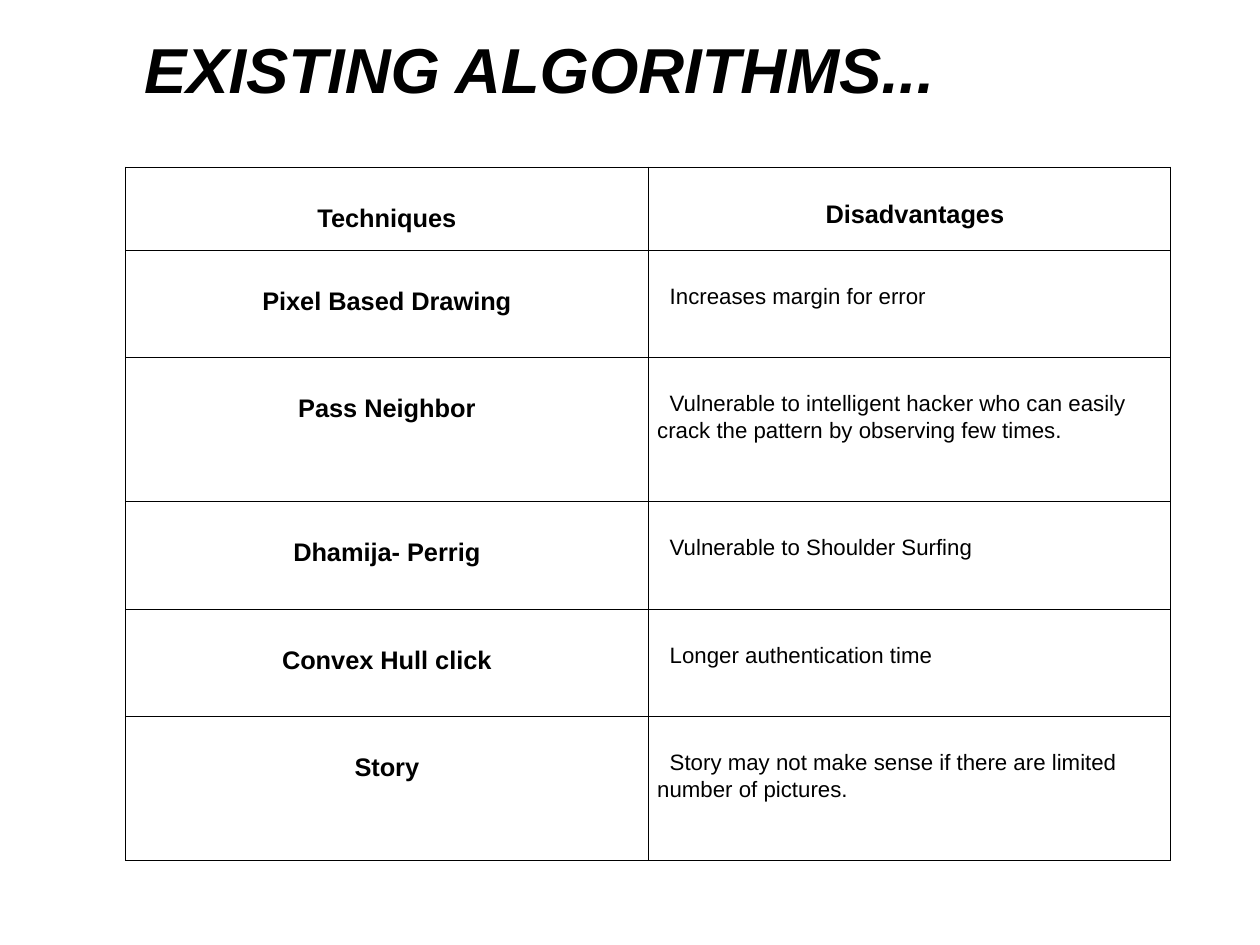
from lxml import etree
from pptx import Presentation
from pptx.dml.color import RGBColor
from pptx.enum.text import MSO_ANCHOR, MSO_AUTO_SIZE, PP_ALIGN
from pptx.oxml import parse_xml
from pptx.oxml.ns import nsdecls
from pptx.util import Cm, Inches, Pt

BLACK = RGBColor(0x00, 0x00, 0x00)
FONT = "Arial"
CENTER, LEFT = PP_ALIGN.CENTER, PP_ALIGN.LEFT
TOP, BOTTOM = MSO_ANCHOR.TOP, MSO_ANCHOR.BOTTOM
NO_AUTOFIT = MSO_AUTO_SIZE.NONE
BORDER_WIDTH = Pt(0.45)

ROWS = [
    ("Techniques", "Disadvantages"),
    ("Pixel Based Drawing", "Increases margin for error"),
    ("Pass Neighbor",
     "Vulnerable to intelligent hacker who can easily crack the pattern by observing few times."),
    ("Dhamija- Perrig", "Vulnerable to Shoulder Surfing"),
    ("Convex Hull click", "Longer authentication time"),
    ("Story", "Story may not make sense if there are limited number of pictures."),
]
ROW_HEIGHTS = [0.73, 0.94, 1.26, 0.94, 0.94, 1.26]


def set_font(paragraph, size, bold, italic=False):
    font = paragraph.font
    font.name = FONT
    font.size = Pt(size)
    font.bold = bold
    font.italic = italic
    font.color.rgb = BLACK


def add_borders(cell):
    properties = cell._tc.get_or_add_tcPr()
    for position, side in enumerate(("lnL", "lnR", "lnT", "lnB")):
        border = parse_xml(f'<a:{side} {nsdecls("a")} w="{BORDER_WIDTH}"/>')
        fill = etree.SubElement(border, border.tag.replace(side, "solidFill"))
        etree.SubElement(fill, border.tag.replace(side, "srgbClr"), val=str(BLACK))
        properties.insert(position, border)


# The page is an exact metric format, 28 by 21 cm
prs = Presentation()
prs.slide_width = Cm(28)
prs.slide_height = Cm(21)
slide = prs.slides.add_slide(prs.slide_layouts[5])

# Heading
heading = slide.shapes.title
heading.left, heading.top = Inches(1.16), Inches(0.21)
heading.width, heading.height = Inches(8.76), Inches(0.77)
heading.text_frame.text = "EXISTING ALGORITHMS..."
heading.text_frame.word_wrap = True
heading.text_frame.auto_size = NO_AUTOFIT
heading.text_frame.vertical_anchor = BOTTOM
heading_line = heading.text_frame.paragraphs[0]
heading_line.alignment = LEFT
set_font(heading_line, 40, True, italic=True)

# Table of techniques and their disadvantages
techniques = slide.shapes.add_table(
    len(ROWS), 2, Inches(1.1), Inches(1.46), Inches(9.14), Inches(sum(ROW_HEIGHTS))).table
techniques.first_row = False
techniques.horz_banding = False

for row, (entries, height) in enumerate(zip(ROWS, ROW_HEIGHTS)):
    techniques.rows[row].height = Inches(height)
    for column, entry in enumerate(entries):
        is_header = row == 0
        is_key = is_header or column == 0
        cell = techniques.cell(row, column)
        cell.fill.background()
        add_borders(cell)
        cell.vertical_anchor = TOP
        cell.margin_left = Inches(0.18 if is_header and column else 0.08)
        cell.margin_right = Inches(0.08)
        cell.margin_top = Inches(0.28 if column else 0.31)
        cell.margin_bottom = Inches(0.05)
        cell.text = entry
        paragraph = cell.text_frame.paragraphs[0]
        paragraph.line_spacing = 1.07
        paragraph.alignment = CENTER if is_key else LEFT
        if not is_key:
            paragraph._p.get_or_add_pPr().set("indent", str(Inches(0.11)))
        set_font(paragraph, 16 if is_key else 14, is_key)

prs.save("out.pptx")
